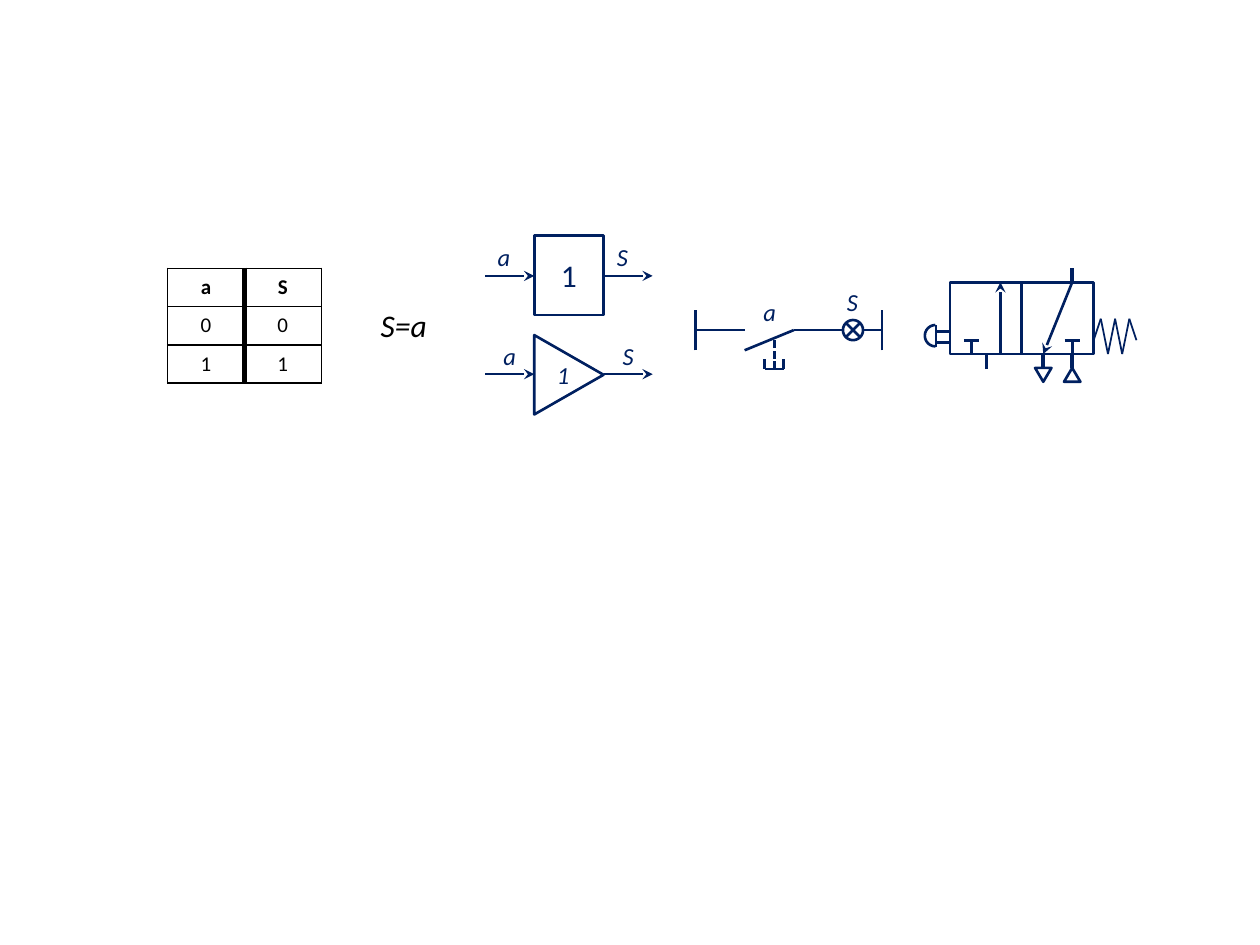
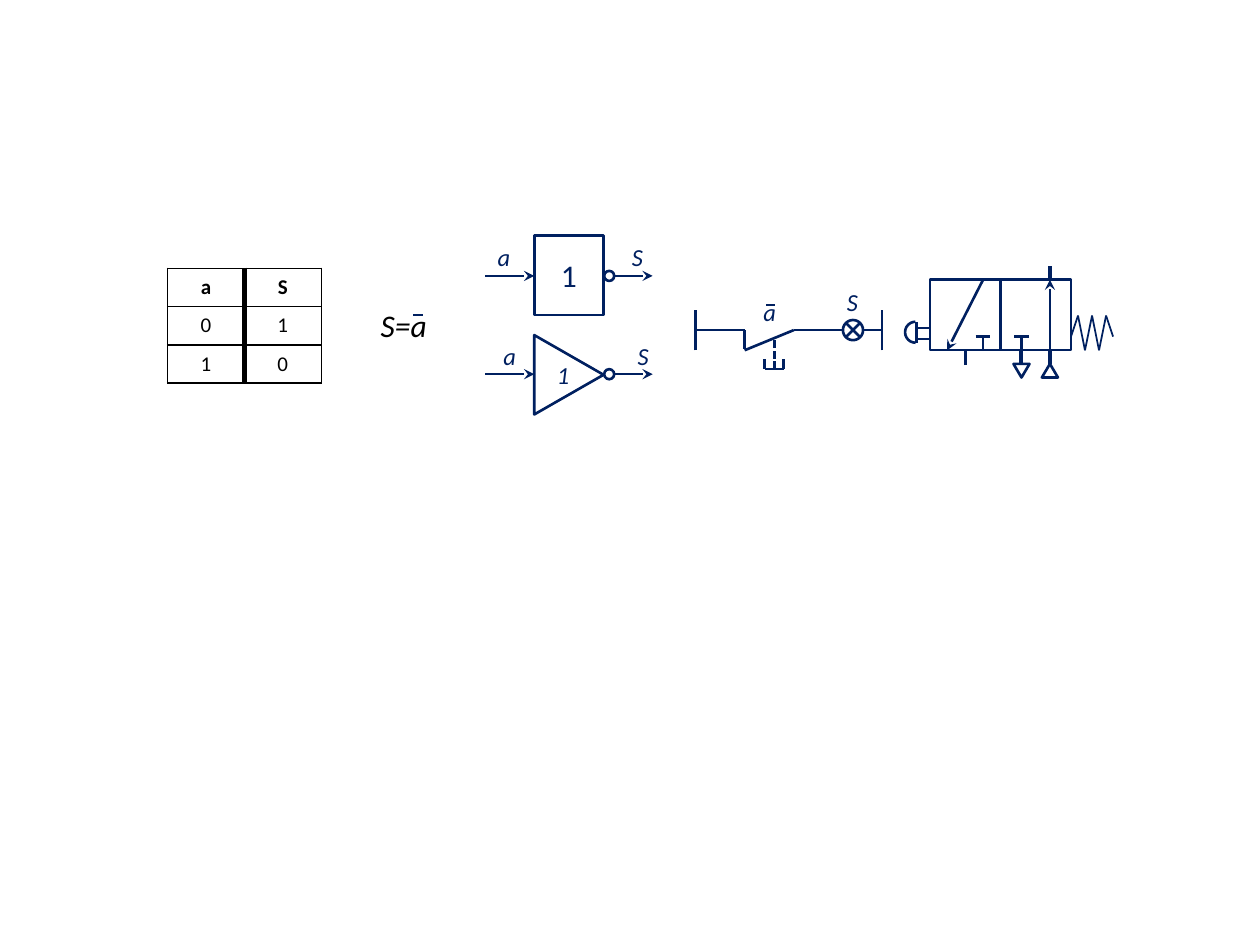
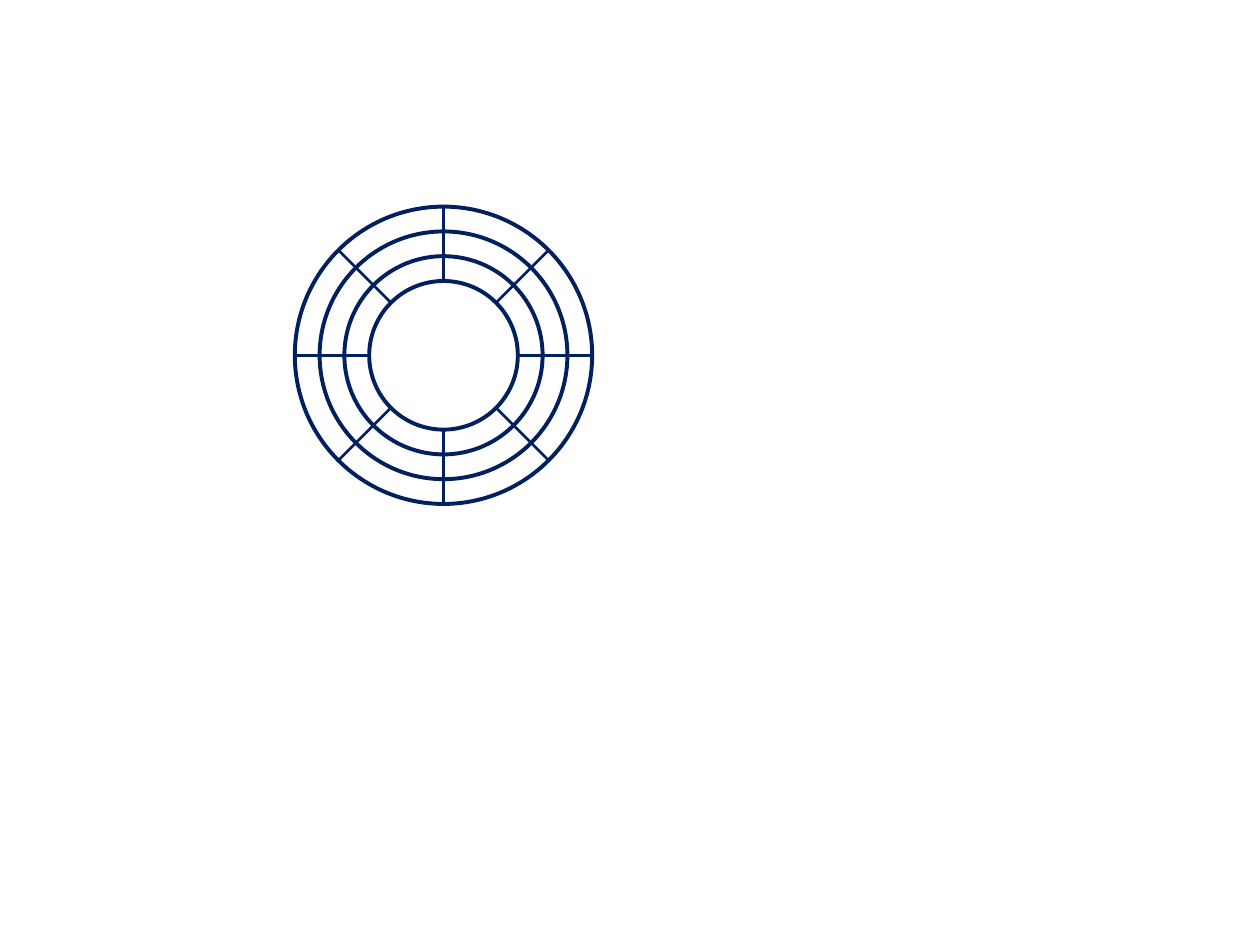
from math import cos, radians, sin

from lxml import etree
from pptx import Presentation
from pptx.dml.color import RGBColor
from pptx.enum import dml, shapes, text
from pptx.oxml import ns
from pptx.util import Inches, Pt

COLORS = {"ink": "002060", "text": "000000", "paper": "FFFFFF"}
FONT = "Calibri"
SHAPE = shapes.MSO_SHAPE


def rgb(name):
    """Return the named palette colour."""
    return RGBColor.from_string(COLORS[name])


def write(frame, content, size=14, color="ink", bold=False, italic=True):
    """Fill a text frame with one centred, formatted run."""
    paragraph = frame.paragraphs[0]
    paragraph.alignment = text.PP_ALIGN.CENTER
    run = paragraph.add_run()
    run.text = content
    run.font.name, run.font.size = FONT, Pt(size)
    run.font.bold, run.font.italic = bold, italic
    run.font.color.rgb = rgb(color)


def add_label(parent, content, left, top, width, height=0.34, wrap=True, **style):
    """Add a text box that grows with its text."""
    box = parent.shapes.add_textbox(Inches(left), Inches(top), Inches(width), Inches(height))
    box.text_frame.word_wrap = wrap
    box.text_frame.auto_size = text.MSO_AUTO_SIZE.SHAPE_TO_FIT_TEXT
    write(box.text_frame, content, **style)


def add_outline(parent, kind, left, top, width, height, weight=1.5, fill=None, rotation=0):
    """Add a preset shape with an ink outline."""
    shape = parent.shapes.add_shape(kind, Inches(left), Inches(top), Inches(width), Inches(height))
    shape.shadow.inherit = False
    shape.rotation = rotation
    shape.line.color.rgb, shape.line.width = rgb("ink"), Pt(weight)
    if fill:
        shape.fill.solid()
        shape.fill.fore_color.rgb = rgb(fill)
    else:
        shape.fill.background()
    return shape


def add_line(parent, x1, y1, x2, y2, weight=1.5, arrow=False, dashed=False):
    """Add a straight ink line, with an optional arrowhead or dashes."""
    line = parent.shapes.add_connector(
        shapes.MSO_CONNECTOR.STRAIGHT, Inches(x1), Inches(y1), Inches(x2), Inches(y2))
    line.line.color.rgb, line.line.width = rgb("ink"), Pt(weight)
    if dashed:
        line.line.dash_style = dml.MSO_LINE.SQUARE_DOT
    properties = line._element.spPr
    if arrow:
        etree.SubElement(properties.find(ns.qn("a:ln")), ns.qn("a:tailEnd"), type="stealth")
    etree.SubElement(properties, ns.qn("a:effectLst"))


def set_borders(cell, widths):
    """Draw the cell's left, right, top and bottom borders."""
    properties = cell._tc.get_or_add_tcPr()
    for side, width in zip("LRTB", widths):
        border = etree.SubElement(properties, ns.qn("a:ln" + side), w=str(Pt(width)))
        fill = etree.SubElement(border, ns.qn("a:solidFill"))
        etree.SubElement(fill, ns.qn("a:srgbClr"), val=COLORS["text"])


def truth_table(slide, left, top, width, height, rows):
    """Place a two-column truth table with a thick middle rule."""
    frame = slide.shapes.add_table(
        len(rows), 2, Inches(left), Inches(top), Inches(width), Inches(height))
    table = frame.table
    table.first_row = table.horz_banding = False
    for row_index, values in enumerate(rows):
        table.rows[row_index].height = Inches(0.27)
        for column, value in enumerate(values):
            cell = table.cell(row_index, column)
            set_borders(cell, (3, 1, 1, 1) if column else (1, 3, 1, 1))
            cell.fill.background()
            write(cell.text_frame, value, size=12, color="text",
                  bold=row_index == 0, italic=False)
    frame.height = Inches(height)


def formula(slide, left, top, inverted):
    """Place the equation, with a bar over the input when inverted."""
    add_label(slide, "S=a", left, top, 0.63, 0.4, size=18, color="text")
    if inverted:
        add_line(slide, left + 0.39, top + 0.12, left + 0.47, top + 0.12)


def logic_gates(slide, left, top, inverted):
    """Place the square and the triangular gate symbols."""
    group = slide.shapes.add_group_shape()
    square = add_outline(group, SHAPE.RECTANGLE, left + 0.39, top, 0.55, 0.63)
    square.text_frame.vertical_anchor = text.MSO_ANCHOR.MIDDLE
    write(square.text_frame, "1", size=18, italic=False)
    add_outline(group, SHAPE.ISOSCELES_TRIANGLE, left + 0.35, top + 0.83, 0.63, 0.55, rotation=90)
    add_label(group, "1", left + 0.47, top + 0.94, 0.3, wrap=False)
    output = left + (1.06 if inverted else 0.94)
    for wire, label, width, wrap in ((0.32, 0, 0.3, False), (1.1, 0.79, 0.39, True)):
        for start in (left, left + 0.94):
            add_line(group, start, top + wire, start + 0.39, top + wire, arrow=True)
        add_label(group, "a", left, top + label, width, wrap=wrap)
        add_label(group, "S", output, top + label, width, wrap=wrap)
        if inverted:
            add_outline(group, SHAPE.OVAL, left + 0.945, top + wire - 0.04, 0.08, 0.08,
                        fill="paper")


def contact_circuit(slide, left, top, inverted):
    """Place the push-button contact and its lamp between two rails."""
    group = slide.shapes.add_group_shape()
    lines = [(0, 0.32, 0, 0), (0, 0.16, 0.39, 0.16), (0.39, 0.32, 0.78, 0.16),
             (0.55, 0.47, 0.7, 0.47), (0.55, 0.39, 0.55, 0.47), (0.7, 0.39, 0.7, 0.47),
             (0.78, 0.16, 1.17, 0.16), (1.33, 0.16, 1.48, 0.16), (1.48, 0.32, 1.48, 0)]
    if inverted:
        lines += [(0.39, 0.31, 0.39, 0.16), (0.56, -0.04, 0.63, -0.04)]
    for x1, y1, x2, y2 in lines:
        add_line(group, left + x1, top + y1, left + x2, top + y2)
    add_line(group, left + 0.625, top + 0.47, left + 0.625, top + 0.24, dashed=True)
    add_outline(group, SHAPE.FLOWCHART_SUMMING_JUNCTION, left + 1.17, top + 0.08, 0.16, 0.16,
                fill="paper")
    add_label(group, "S", left + 1.05, top - 0.23, 0.39)
    add_label(group, "a", left + 0.44, top - 0.15, 0.3, wrap=False)


def valve(slide, left, top, side, plugs, flow, diagonal):
    """Place a two-position valve whose chambers have the given side."""
    group = slide.shapes.add_group_shape()
    scale = side / 0.57

    def line(x1, y1, x2, y2, **style):
        """Add a line given in valve units."""
        add_line(group, left + x1 * scale, top + y1 * scale,
                 left + x2 * scale, top + y2 * scale, **style)

    def outline(kind, x, y, width, height, **style):
        """Add a shape given in valve units."""
        return add_outline(group, kind, left + x * scale, top + y * scale,
                           width * scale, height * scale, **style)

    for x in (0, 0.57):
        outline(SHAPE.RECTANGLE, x, 0, 0.57, 0.57)
    line(flow, 0.57, flow, 0, arrow=True)
    line(diagonal[0], 0, diagonal[1], 0.57, arrow=True)
    for x in plugs:
        line(x, 0.57, x, 0.46)
        line(x - 0.06, 0.46, x + 0.06, 0.46)
    line(0.97, 0, 0.97, -0.11, weight=2.25)
    for x, rotation in ((0.97, 0), (0.74, 180)):
        outline(SHAPE.ISOSCELES_TRIANGLE, x - 0.065, 0.68, 0.13, 0.11, rotation=rotation)
        line(x, 0.68, x, 0.57, weight=2.25)
    line(0.29, 0.69, 0.29, 0.57)
    button = outline(SHAPE.ARC, -0.2, 0.34, 0.17, 0.17)
    button.adjustments[0], button.adjustments[1] = 53.978, 161.313
    line(-0.11, 0.51, -0.11, 0.34)
    for y in (0.39, 0.48):
        line(-0.11, y, 0, y)
    heights = (0.46, 0.29, 0.57, 0.29, 0.57, 0.29, 0.46)
    spring = [(1.14 + 0.34 * index / 6, y) for index, y in enumerate(heights)]
    for start, end in zip(spring, spring[1:]):
        line(*start, *end, weight=1)


def wheel(slide, left, top, diameter):
    """Place four concentric rings cut by eight spokes."""
    group = slide.shapes.add_group_shape()
    radius = diameter / 2
    for ring in range(4):
        inset = ring * diameter / 12
        size = diameter - 2 * inset
        add_outline(group, SHAPE.OVAL, left + inset, top + inset, size, size, weight=2.25)
    for angle in range(0, 360, 45):
        x, y = radius * cos(radians(angle)), radius * sin(radians(angle))
        center_x, center_y = left + radius, top + radius
        add_line(group, center_x + x / 2, center_y + y / 2, center_x + x, center_y + y)


def logic_slide(slide, outputs, inverted, valve_format):
    """Show one logic function in all its representations."""
    rows = [("a", "S"), *zip("01", outputs)]
    truth_table(slide, 1.33, 2.13, 1.22, 0.9, rows)
    formula(slide, 2.89, 2.38, inverted)
    logic_gates(slide, 3.85, 1.87, inverted)
    contact_circuit(slide, 5.52, 2.46, inverted)
    valve(slide, **valve_format)


def main():
    """Build and save the presentation."""
    presentation = Presentation()
    presentation.slide_width, presentation.slide_height = Inches(10), Inches(7.5)
    blank = presentation.slide_layouts[6]
    identity, negation, rings = (presentation.slides.add_slide(blank) for _ in range(3))
    logic_slide(identity, "01", False, dict(
        left=7.54, top=2.24, side=0.57, plugs=(0.17, 0.97), flow=0.4, diagonal=(0.97, 0.74)))
    logic_slide(negation, "10", True, dict(
        left=7.38, top=2.22, side=0.56, plugs=(0.43, 0.74), flow=0.97, diagonal=(0.43, 0.14)))
    wheel(rings, 2.34, 1.64, 2.36)
    presentation.save("out.pptx")


main()
